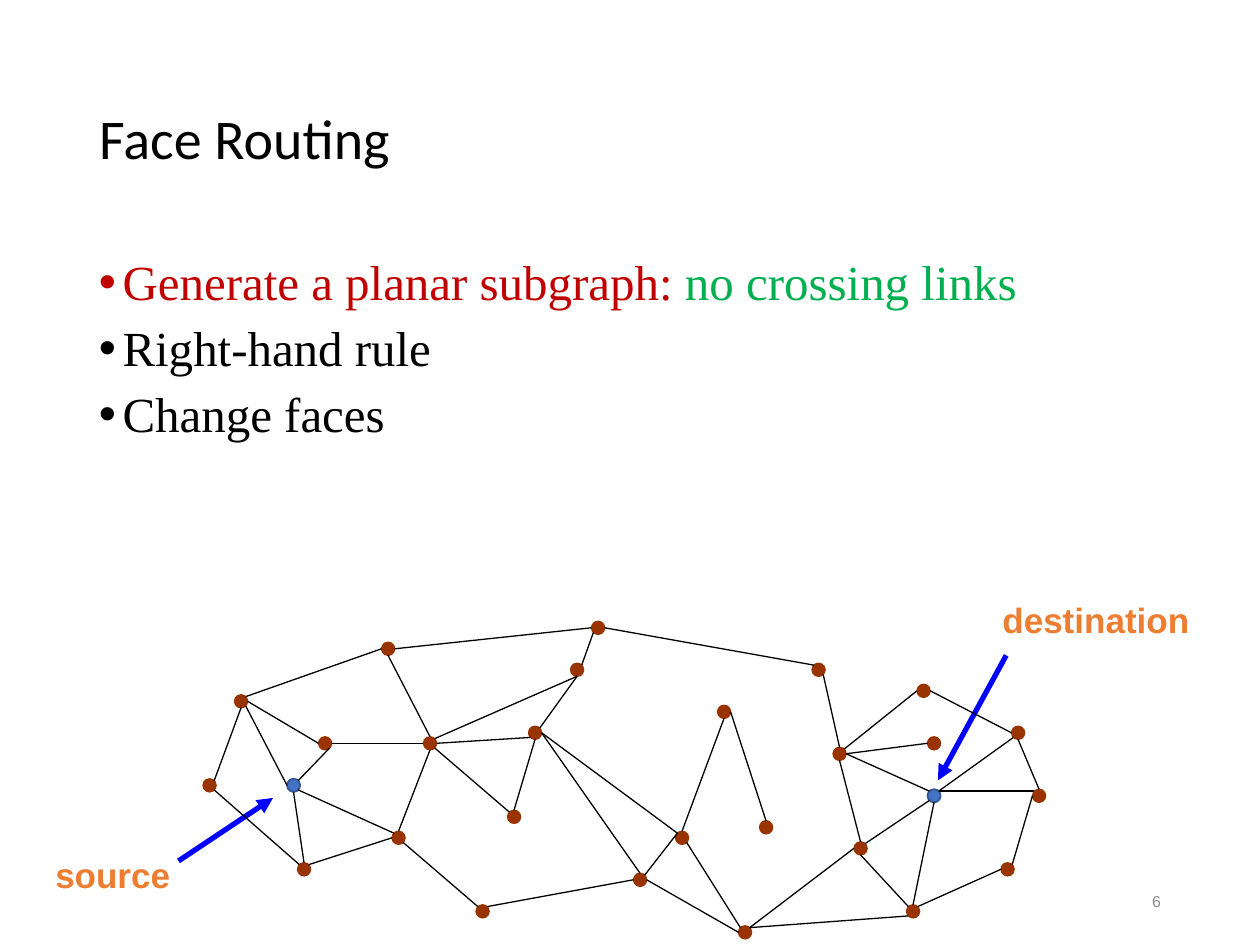
"""Build the Face Routing slide with its planar network graph."""
from lxml import etree
from pptx import Presentation
from pptx.dml.color import RGBColor
from pptx.enum.shapes import MSO_CONNECTOR, MSO_SHAPE
from pptx.enum.text import MSO_ANCHOR, MSO_AUTO_SIZE, PP_ALIGN
from pptx.oxml.ns import qn
from pptx.util import Pt

STRAIGHT = MSO_CONNECTOR.STRAIGHT
OVAL = MSO_SHAPE.OVAL
TOP, MIDDLE = MSO_ANCHOR.TOP, MSO_ANCHOR.MIDDLE
LEFT, RIGHT = PP_ALIGN.LEFT, PP_ALIGN.RIGHT
NO_FIT, GROW = MSO_AUTO_SIZE.NONE, MSO_AUTO_SIZE.SHAPE_TO_FIT_TEXT

THEME = {
    "title": ("Calibri", 32, False),
    "body": ("Times New Roman", 28, False),
    "label": ("Arial", 20, True),
    "number": ("Arial", 9, False),
    "black": "000000", "red": "C00000", "green": "00B050",
    "orange": "ED7D31", "grey": "8C8C8C", "arrow": "0000FF",
    "node": ("993300", "993300", 0.75),
    "endpoint": ("4472C4", "325491", 1),
}

TITLE = "Face Routing"
BULLETS = [
    [("Generate a planar subgraph:", "red"), (" no crossing links", "green")],
    [("Right-hand rule", "black")],
    [("Change faces", "black")],
]
LABELS = [
    ("source", (24.5, 484.5, 82, 31), (102, 492), (156, 456)),
    ("destination", (565.75, 338.5, 124, 31), (575, 374.5), (536, 446)),
]
PAGE = "6"

NODES = {
    "a": (0, 15), "b": (3, 7), "c": (9, 23), "source": (8, 15),
    "d": (11, 11), "e": (18, 20), "f": (17, 2), "g": (21, 11),
    "h": (26, 27), "i": (35, 4), "j": (37, 0), "k": (29, 18),
    "l": (31, 10), "m": (49, 8), "n": (58, 4), "o": (41, 24),
    "p": (45, 20), "q": (53, 19), "r": (62, 21), "t": (60, 12),
    "u": (68, 6), "v": (69, 11), "destination": (69, 16), "w": (77, 10),
    "x": (79, 16), "y": (76, 23), "z": (67, 27), "bottom": (51, 29),
}
EDGES = [
    ("a", "NE", "b", "S"), ("b", "NE", "f", "W"), ("f", "E", "j", "W"),
    ("j", "E", "n", "NW"), ("a", "SE", "c", "NW"), ("b", "SE", "source", "W"),
    ("b", "E", "d", "W"), ("source", "NE", "d", "SE"), ("d", "E", "g", "W"),
    ("g", "N", "f", "S"), ("c", "N", "source", "S"), ("c", "NE", "e", "W"),
    ("e", "NW", "source", "SE"), ("e", "N", "g", "S"), ("g", "NE", "i", "S"),
    ("i", "NE", "j", "SW"), ("g", "E", "l", "SW"), ("i", "S", "l", "NE"),
    ("g", "SE", "k", "NW"), ("l", "S", "k", "N"), ("e", "SE", "h", "NW"),
    ("h", "NE", "o", "W"), ("o", "N", "l", "E"), ("o", "NE", "p", "NW"),
    ("p", "NW", "l", "E"), ("p", "N", "m", "S"), ("m", "E", "q", "N"),
    ("p", "SE", "bottom", "NW"), ("bottom", "NE", "r", "W"),
    ("r", "N", "t", "S"), ("t", "N", "n", "SE"), ("t", "NE", "u", "W"),
    ("t", "E", "v", "W"), ("t", "E", "destination", "NW"),
    ("destination", "SW", "r", "NE"), ("r", "S", "z", "NW"),
    ("bottom", "NE", "z", "SW"), ("destination", "S", "z", "N"),
    ("z", "NE", "y", "W"), ("y", "NE", "x", "W"),
    ("destination", "NE", "x", "NW"), ("x", "N", "w", "S"),
    ("destination", "NE", "w", "SW"), ("w", "W", "u", "E"),
    ("bottom", "W", "o", "E"),
]
GRID_X, GRID_Y, STEP, DOT = 116, 355, 6, 7.5


def rgb(name):
    return RGBColor.from_string(THEME.get(name, name))


def place(s, box):
    s.left, s.top, s.width, s.height = map(Pt, box)


def add_run(p, text, style, color):
    r = p.add_run()
    r.text = text
    r.font.name, size, r.font.bold = THEME[style]
    r.font.size = Pt(size)
    r.font.color.rgb = rgb(color)


def add_text(slide, box, paragraphs, style, anchor=MIDDLE, wrap=True):
    tf = slide.shapes.add_textbox(*map(Pt, box)).text_frame
    tf.word_wrap, tf.vertical_anchor = wrap, anchor
    tf.auto_size = NO_FIT if wrap else GROW
    for i, runs in enumerate(paragraphs):
        p = tf.add_paragraph() if i else tf.paragraphs[0]
        for text, color in runs:
            add_run(p, text, style, color)
    return tf


def add_line(slide, start, end, color, width, arrow=False):
    s = slide.shapes.add_connector(STRAIGHT, *map(Pt, (*start, *end)))
    s.line.color.rgb = rgb(color)
    s.line.width = Pt(width)
    if arrow:
        etree.SubElement(s.line._get_or_add_ln(), qn("a:tailEnd"), type="triangle")
    etree.SubElement(s._element.spPr, qn("a:effectLst"))


def add_node(slide, name):
    col, row = NODES[name]
    fill, line, width = THEME["endpoint" if name in ("source", "destination") else "node"]
    s = slide.shapes.add_shape(
        OVAL, Pt(GRID_X + col * STEP), Pt(GRID_Y + row * STEP), Pt(DOT), Pt(DOT))
    s.shadow.inherit = False
    s.fill.solid()
    s.fill.fore_color.rgb = rgb(fill)
    s.line.color.rgb = rgb(line)
    s.line.width = Pt(width)


def site(name, side):
    col, row = NODES[name]
    reach = DOT / 2 * (0.71 if len(side) == 2 else 1)
    dx = ("E" in side) - ("W" in side)
    dy = ("S" in side) - ("N" in side)
    return (GRID_X + col * STEP + DOT / 2 + dx * reach,
            GRID_Y + row * STEP + DOT / 2 + dy * reach)


def add_bullet(p):
    p.line_spacing, p.space_before = 0.9, Pt(7.5)
    pPr = p._p.get_or_add_pPr()
    pPr.set("marL", str(Pt(13.5)))
    pPr.set("indent", str(-Pt(13.5)))
    etree.SubElement(pPr, qn("a:buFont"), typeface="Arial")
    etree.SubElement(pPr, qn("a:buChar"), char="•")


def main():
    prs = Presentation()
    prs.slide_width, prs.slide_height = Pt(720), Pt(540)
    slide = prs.slides.add_slide(prs.slide_layouts[5])

    title = slide.shapes.title
    place(title, (49.5, 28.75, 621, 104.5))
    tf = title.text_frame
    tf.auto_size, tf.vertical_anchor = NO_FIT, MIDDLE
    p = tf.paragraphs[0]
    p.alignment, p.line_spacing = LEFT, 0.9
    add_run(p, TITLE, "title", "black")

    body = add_text(slide, (49.5, 143.75, 621, 342.5), BULLETS, "body", TOP)
    for p in body.paragraphs:
        add_bullet(p)

    for text, box, start, end in LABELS:
        add_text(slide, box, [[(text, "orange")]], "label", wrap=False)
        add_line(slide, start, end, "arrow", 3, arrow=True)

    for name in NODES:
        add_node(slide, name)
    for a, a_side, b, b_side in EDGES:
        add_line(slide, site(a, a_side), site(b, b_side), "black", 0.75)

    number = add_text(slide, (508.5, 500.5, 162, 28.75), [[(PAGE, "grey")]], "number")
    number.paragraphs[0].alignment = RIGHT
    prs.save("out.pptx")


if __name__ == "__main__":
    main()
